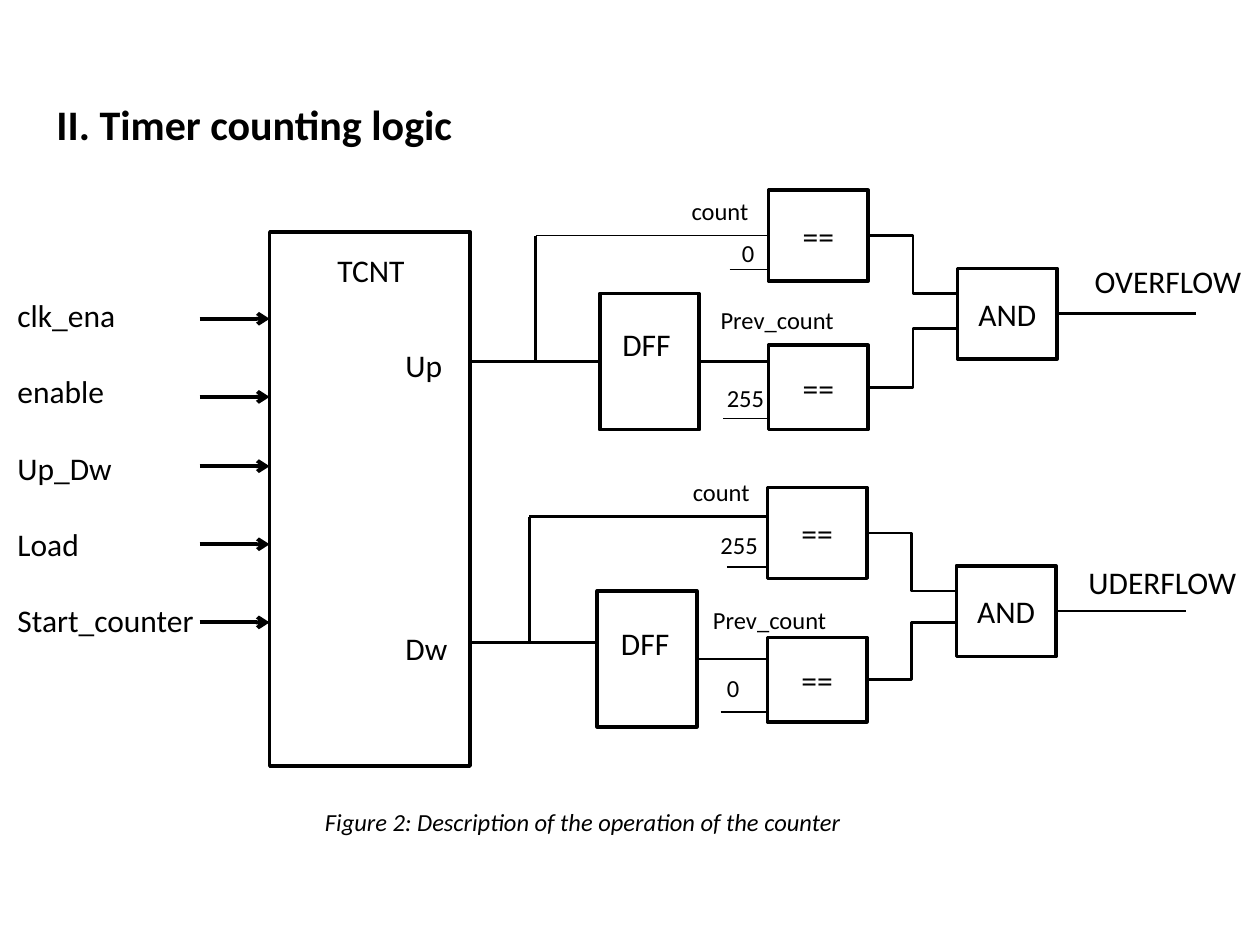
from dataclasses import dataclass

from lxml.etree import SubElement
from pptx import Presentation
from pptx.dml.color import RGBColor
from pptx.enum.shapes import MSO_CONNECTOR as CONN, MSO_SHAPE as SHAPE
from pptx.enum.text import MSO_ANCHOR as ANCHOR, MSO_AUTO_SIZE as AUTO, PP_ALIGN as ALIGN
from pptx.oxml.ns import qn
from pptx.util import Inches, Pt

COLORS = {"ink": "000000"}
FONT = "Calibri"
COLS, ROWS = 100, 75
WIDTH, HEIGHT = Inches(10), Inches(7.5)
LEFT, RIGHT = 1, 3  # connection sites of a rectangle
THIN, WIRE, OUTLINE, BOLD = 0.75, 1.5, 2, 2.25
BLOCK_W, GATE_H, LOW_EQ_H, DFF_H = 7.9, 7.2, 6.7, 10.8
TCNT = (21.4, 18.4, 15.9, 42.4)


@dataclass
class Channel:
    """Positions, in grid cells, and labels of one overflow or underflow path."""
    eq_x: float
    eq_tops: tuple
    dff: tuple
    gate: tuple
    gate_inputs: tuple
    feed_y: float
    tap: tuple
    tap_widths: tuple
    constants: tuple  # text, label x, label y, wire x, wire y, wire width
    count_at: tuple
    prev_at: tuple
    dff_label_at: tuple
    output: tuple  # text, label x, label y, label width, wire end x


CHANNELS = [
    Channel(61, (15.1, 27.4), (47.6, 23.3), (76, 21.3), (23.3, 26.1), 28.7,
            (42.5, 18.7), (WIRE, THIN),
            (("0", 57.9, 18.4, 57.9, 21.4, THIN), ("255", 56.7, 29.9, 57.4, 33.2, THIN)),
            (53.9, 15.1), (56.2, 23.7), (48.4, 25.3),
            ("OVERFLOW", 85.9, 20.3, 13.7, 94.9)),
    Channel(60.9, (38.7, 50.6), (47.4, 46.9), (75.9, 44.9), (46.9, 49.4), 51,
            (42, 41), (WIRE, WIRE),
            (("255", 56.2, 41.6, 57.7, 45, THIN), ("0", 56.7, 52.9, 57.2, 56.5, WIRE)),
            (54, 37.4), (55.6, 47.5), (48.3, 49),
            ("UDERFLOW", 85.4, 44.2, 13.8, 94.1)),
]


def col(n):
    return round(WIDTH * n / COLS)


def row(n):
    return round(HEIGHT * n / ROWS)


def ink():
    return RGBColor.from_string(COLORS["ink"])


def style(p, size, bold=None, italic=None):
    for r in p.runs:
        f = r.font
        f.name, f.size, f.bold, f.italic = FONT, Pt(size), bold, italic
        f.color.rgb = ink()


def label(s, text, x, y, w, size=18, wrap=False, gap=0, **emphasis):
    lines = text.split("\n")
    h = 4 if size == 18 else 5 if size == 24 else 3.4
    tf = s.shapes.add_textbox(col(x), row(y), col(w), row(h * len(lines))).text_frame
    tf.word_wrap = wrap
    tf.auto_size = AUTO.SHAPE_TO_FIT_TEXT
    tf.text = text
    for i, p in enumerate(tf.paragraphs):
        if i:
            p.space_before = Pt(gap)
        style(p, size, **emphasis)


def block(s, x, y, w, h, text=""):
    sp = s.shapes.add_shape(SHAPE.RECTANGLE, col(x), row(y), col(w), row(h))
    sp.shadow.inherit = False
    sp.fill.background()
    sp.line.color.rgb = ink()
    sp.line.width = Pt(OUTLINE)
    if text:
        tf = sp.text_frame
        tf.text = text
        tf.vertical_anchor = ANCHOR.MIDDLE
        p = tf.paragraphs[0]
        p.alignment = ALIGN.CENTER
        style(p, 18)
    return sp


def wire(s, x1, y1, x2, y2, width=WIRE, kind=CONN.STRAIGHT, start=None, end=None, arrow=False):
    """Draw a connector; start and end are blocks met at mid-right and mid-left."""
    c = s.shapes.add_connector(kind, col(x1), row(y1), col(x2), row(y2))
    if start is not None:
        c.begin_connect(start, RIGHT)
    if end is not None:
        c.end_connect(end, LEFT)
    c.line.color.rgb = ink()
    c.line.width = Pt(width)
    if arrow:
        SubElement(c.line._get_or_add_ln(), qn("a:tailEnd"), type="arrow")
    SubElement(c._element.spPr, qn("a:effectLst"))


def if_level(sp, y):
    """Return the block only when y is at the middle of its side."""
    return sp if abs(sp.top + sp.height / 2 - row(y)) < row(0.1) else None


def counter(s):
    x, y, w, h = TCNT
    block(s, x, y, w, h)
    label(s, "TCNT", 25.8, 19.4, 7.4)
    label(s, "Up", 31.2, 27, 5)
    label(s, "Dw", 31.2, 49.4, 5.4)
    label(s, "clk_ena\nenable\nUp_Dw\nLoad\nStart_counter", 0.4, 23, 19, wrap=True, gap=22)
    for port_y in (25.3, 31.5, 37, 43.2, 49.4):
        wire(s, 15.85, port_y, x, port_y, BOLD, arrow=True)


def channel(s, ch):
    dff = block(s, *ch.dff, BLOCK_W, DFF_H)
    label(s, "DFF", *ch.dff_label_at, 5.9)
    eqs = [block(s, ch.eq_x, y, BLOCK_W, h, "==")
           for y, h in zip(ch.eq_tops, (GATE_H, LOW_EQ_H))]
    gate = block(s, *ch.gate, BLOCK_W, GATE_H, "AND")

    tap_x, tap_y = ch.tap
    wire(s, TCNT[0] + TCNT[2], ch.feed_y, ch.dff[0], ch.feed_y, end=if_level(dff, ch.feed_y))
    wire(s, tap_x, tap_y, tap_x, ch.feed_y, ch.tap_widths[0])
    wire(s, tap_x, tap_y, ch.eq_x, tap_y, ch.tap_widths[1], end=if_level(eqs[0], tap_y))
    dff_y = ch.dff[1] + DFF_H / 2
    wire(s, ch.dff[0] + BLOCK_W, dff_y, ch.eq_x, dff_y, start=dff)

    for text, x, y, wire_x, wire_y, width in ch.constants:
        label(s, text, x, y, 3 if text == "0" else 5, 14)
        wire(s, wire_x, wire_y, ch.eq_x, wire_y, width)
    for eq, top, y in zip(eqs, ch.eq_tops, ch.gate_inputs):
        wire(s, ch.eq_x + BLOCK_W, top, ch.gate[0], y, kind=CONN.ELBOW, start=eq)

    label(s, "count", *ch.count_at, 6.6, 14)
    label(s, "Prev_count", *ch.prev_at, 11.1, 14)
    text, x, y, w, end_x = ch.output
    label(s, text, x, y, w)
    out_y = ch.gate[1] + GATE_H / 2
    wire(s, ch.gate[0] + BLOCK_W, out_y, end_x, out_y, start=gate)


def main():
    prs = Presentation()
    prs.slide_width, prs.slide_height = WIDTH, HEIGHT
    s = prs.slides.add_slide(prs.slide_layouts[6])
    label(s, "II. Timer counting logic", 3.5, 7.3, 33.7, 24, bold=True)
    counter(s)
    for ch in CHANNELS:
        channel(s, ch)
    label(s, "Figure 2: Description of the operation of the counter",
          24.8, 63.6, 56.1, 14, wrap=True, italic=True)
    prs.save("out.pptx")


if __name__ == "__main__":
    main()
